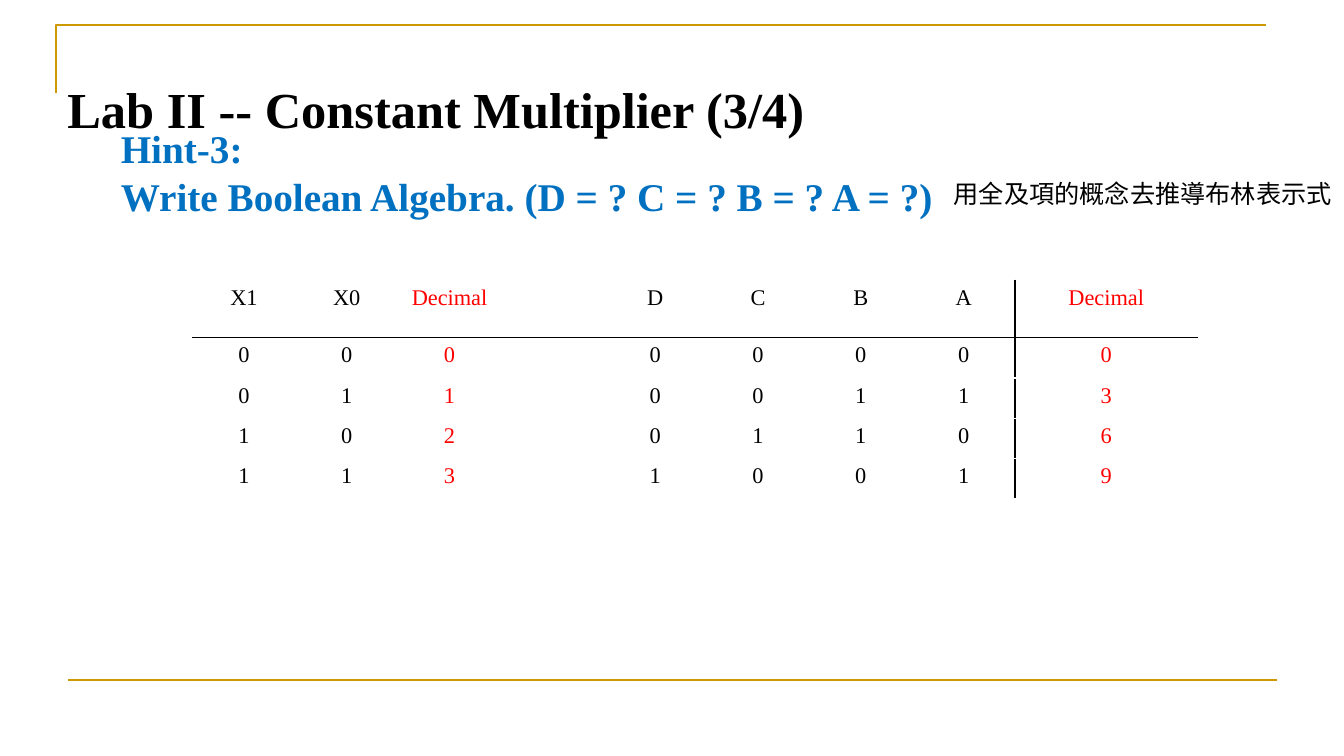
from dataclasses import dataclass
from lxml.etree import SubElement, fromstring
from pptx import Presentation
from pptx.dml.color import RGBColor
from pptx.enum.shapes import MSO_CONNECTOR
from pptx.enum.text import MSO_ANCHOR, PP_ALIGN
from pptx.oxml.ns import nsdecls, qn
from pptx.util import Inches, Pt


@dataclass(frozen=True)
class Theme:
    """Hold the colours, fonts and sizes of the slide."""
    gold: str = "CC9900"
    black: str = "000000"
    blue: str = "0070C0"
    red: str = "FF0000"
    white: str = "FFFFFF"
    serif: str = "Times New Roman"
    han: str = "Noto Sans CJK SC"
    title: int = 36
    hint: int = 28
    note: int = 18
    cell: int = 16
    rule: float = 1.5
    edge: float = 0.96


THEME = Theme()
HEADS = ["X1", "X0", "Decimal", "", "D", "C", "B", "A", "Decimal"]
RED_COLS = (2, 8)
SPLIT = 7


def put(thing, form):
    """Set each value of a format dict on an object."""
    for name, value in form.items():
        setattr(thing, name, value)


def style(run, size, color, face=THEME.serif, bold=False):
    """Give a run its font for Latin and Asian text."""
    put(run.font, {"size": Pt(size), "name": face, "bold": bold})
    run.font.color.rgb = RGBColor.from_string(color)
    SubElement(run.font._element, qn("a:ea"), typeface=face)


def stroke(shape):
    """Draw the outline as a gold rule."""
    shape.line.color.rgb = RGBColor.from_string(THEME.gold)
    shape.line.width = Pt(THEME.rule)


def add_text(slide, box, lines, look, frame, para):
    """Place a text box with one paragraph for each line."""
    text = slide.shapes.add_textbox(*map(Inches, box)).text_frame
    put(text, {"word_wrap": True, **frame})
    for i, line in enumerate(lines):
        part = text.add_paragraph() if i else text.paragraphs[0]
        put(part, para)
        run = part.add_run()
        run.text = line
        style(run, **look)
    return text


def add_rules(slide, box):
    """Draw the corner at the top and the rule at the foot."""
    left, top, width, height = box
    pen = slide.shapes.build_freeform(Inches(left), Inches(top + 0.67))
    pen.add_line_segments(
        [(Inches(left), Inches(top)), (Inches(left + width), Inches(top))],
        close=False)
    corner = pen.convert_to_shape()
    corner.shadow.inherit = False
    corner.fill.background()
    stroke(corner)
    start, foot = left + 0.11, top + height
    rule = slide.shapes.add_connector(
        MSO_CONNECTOR.STRAIGHT,
        *map(Inches, (start, foot, start + width, foot)))
    stroke(rule)
    SubElement(rule._element.spPr, qn("a:effectLst"))


def add_edges(cell, sides):
    """Add black borders on the given sides of a cell."""
    props = cell._tc.get_or_add_tcPr()
    for i, side in enumerate(sides):
        props.insert(i, fromstring(
            f'<a:ln{side} {nsdecls("a")} w="{Pt(THEME.edge)}"><a:solidFill>'
            f'<a:srgbClr val="{THEME.black}"/></a:solidFill></a:ln{side}>'))


def list_rows():
    """Work out the rows for the product of X and three."""
    rows = [HEADS]
    for x in range(4):
        rows.append([*f"{x:02b}", str(x), "", *f"{3 * x:04b}", str(3 * x)])
    return rows


def add_truth(slide, box):
    """Place the truth table in its box."""
    rows = list_rows()
    table = slide.shapes.add_table(
        len(rows), len(HEADS), *map(Inches, box)).table
    put(table, {"first_row": False, "horz_banding": False})
    for c, col in enumerate(table.columns):
        col.width = Inches(1.81 if c > SPLIT else 1.02)
    for r, row in enumerate(rows):
        table.rows[r].height = Inches(0.35 if r else 0.57)
        for c, word in enumerate(row):
            cell = table.cell(r, c)
            put(cell, {"margin_left": Inches(0.11),
                       "margin_right": Inches(0.11)})
            cell.fill.solid()
            cell.fill.fore_color.rgb = RGBColor.from_string(THEME.white)
            tests = {"L": c == SPLIT + 1, "R": c == SPLIT,
                     "T": r == 1, "B": r == 0}
            add_edges(cell, [side for side, on in tests.items() if on])
            if word:
                part = cell.text_frame.paragraphs[0]
                part.alignment = PP_ALIGN.CENTER
                run = part.add_run()
                run.text = word
                color = THEME.red if c in RED_COLS else THEME.black
                style(run, THEME.cell, color)


def add_hint(slide, box):
    """Place the hint in blue and the note at its right."""
    left, top, width, height = box
    look = {"size": THEME.hint, "color": THEME.blue, "bold": True}
    text = add_text(
        slide, box,
        ["Hint-3: ", "Write Boolean Algebra. (D = ? C = ? B = ? A = ?)"],
        look, {"vertical_anchor": MSO_ANCHOR.MIDDLE}, {})
    text.paragraphs[0].alignment = PP_ALIGN.JUSTIFY
    look = {"size": THEME.note, "color": THEME.black, "face": THEME.han}
    add_text(slide, (left + 8.26, top + 0.53, 3.98, 0.4),
             ["用全及項的概念去推導布林表示式"], look, {}, {})


def add_title(slide, box):
    """Place the slide title."""
    look = {"size": THEME.title, "color": THEME.black, "bold": True}
    add_text(slide, box, ["Lab II -- Constant Multiplier (3/4)"], look,
             {"vertical_anchor": MSO_ANCHOR.MIDDLE}, {"line_spacing": 1.5})


def main():
    """Build the slide and save it."""
    deck = Presentation()
    put(deck, {"slide_width": Inches(13.33), "slide_height": Inches(7.5)})
    slide = deck.slides.add_slide(deck.slide_layouts[6])
    add_rules(slide, (0.56, 0.25, 12, 6.5))
    add_title(slide, (0.57, 0.26, 10.08, 1.32))
    add_truth(slide, (1.91, 2.78, 9.96, 1.98))
    add_hint(slide, (1.1, 1.19, 11.24, 1.03))
    deck.save("out.pptx")


if __name__ == "__main__":
    main()
